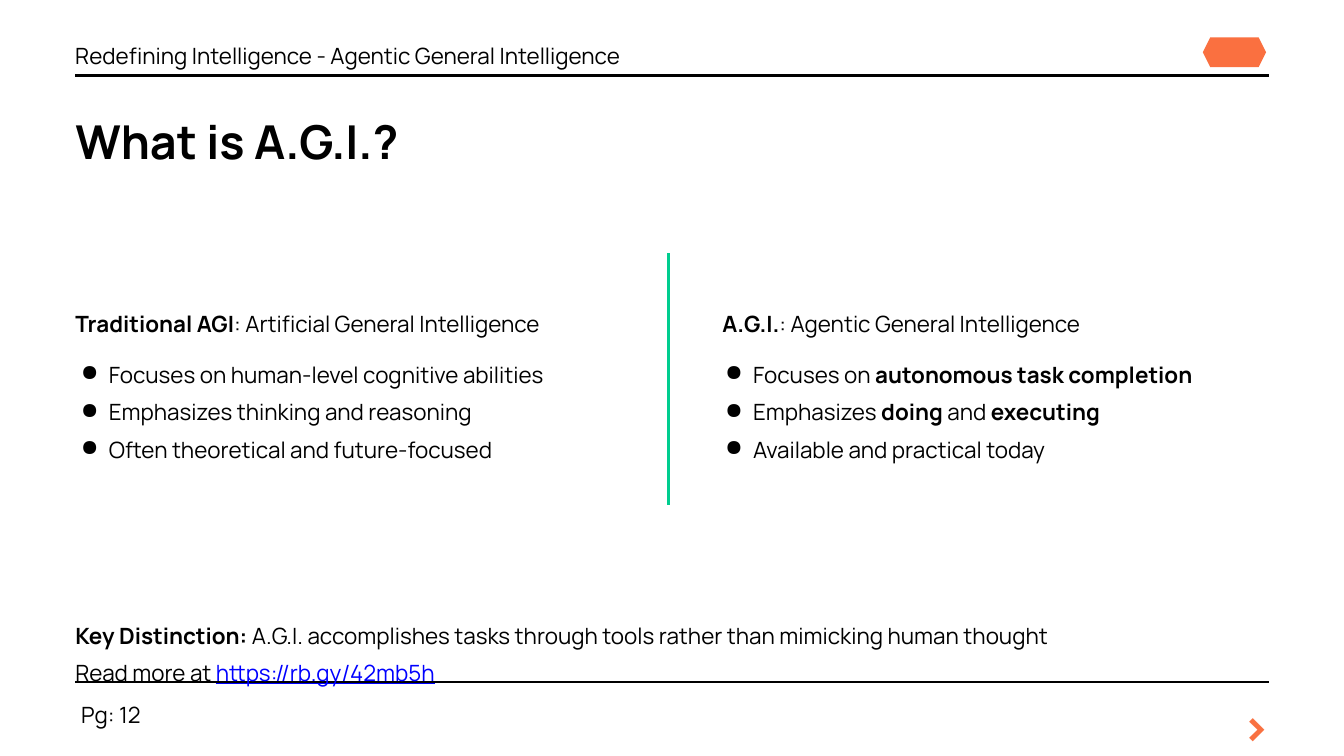
from dataclasses import dataclass

from lxml.etree import SubElement
from pptx import Presentation
from pptx.dml.color import RGBColor
from pptx.enum.shapes import MSO_CONNECTOR as Connector, MSO_SHAPE as Shape
from pptx.enum.text import MSO_AUTO_SIZE as AutoSize, PP_ALIGN as Align
from pptx.oxml.ns import qn
from pptx.slide import Slide
from pptx.util import Pt

BLACK, ORANGE, GREEN, BLUE = "000000", "FA7040", "00CD8F", "0000FF"
LEFT, RIGHT = 80.64, 1359.36
BOLD = {"bold": True}
LINK = {"underline": True}


def color(value):
    return RGBColor.from_string(value)


def apply(target, values):
    for name, value in values.items():
        setattr(target, name, value)


@dataclass
class SlideBuilder:
    """Draw styled elements on the current slide, with lengths in points."""

    slide: Slide
    font: str = "Manrope"
    size: float = 24
    spacing: float = 1.4
    rule_width: float = 3

    def line(self, x1, y1, x2, y2, ink=BLACK):
        connector = self.slide.shapes.add_connector(
            Connector.STRAIGHT, Pt(x1), Pt(y1), Pt(x2), Pt(y2))
        connector.line.color.rgb = color(ink)
        connector.line.width = Pt(self.rule_width)
        SubElement(connector._element.spPr, qn("a:effectLst"))

    def block(self, kind, left, top, width, height, fill):
        shape = self.slide.shapes.add_shape(
            kind, Pt(left), Pt(top), Pt(width), Pt(height))
        shape.shadow.inherit = False
        shape.fill.solid()
        shape.fill.fore_color.rgb = color(fill)
        shape.line.fill.background()

    def bullet(self, paragraph):
        properties = paragraph._p.get_or_add_pPr()
        properties.set("marL", str(Pt(36)))
        properties.set("indent", str(Pt(-30)))
        ink = SubElement(properties, qn("a:buClr"))
        SubElement(ink, qn("a:srgbClr"), val=BLACK)
        SubElement(properties, qn("a:buChar"), char="●")

    def text(self, left, top, width, height, paragraphs, size=None,
             ink=BLACK, align=Align.LEFT, bullets=False):
        box = self.slide.shapes.add_textbox(
            Pt(left), Pt(top), Pt(width), Pt(height))
        frame = box.text_frame
        apply(frame, {"margin_left": 0, "margin_top": 0, "margin_right": 0,
                      "margin_bottom": 0, "word_wrap": True,
                      "auto_size": AutoSize.SHAPE_TO_FIT_TEXT})
        for index, runs in enumerate(paragraphs):
            paragraph = frame.add_paragraph() if index else frame.paragraphs[0]
            if bullets:
                self.bullet(paragraph)
            apply(paragraph, {"line_spacing": self.spacing, "alignment": align})
            for words, style in runs:
                run = paragraph.add_run()
                run.text = words
                apply(run.font, {"name": self.font, "size": Pt(size or self.size),
                                 "bold": False, **style})
                run.font.color.rgb = color(BLUE if style is LINK else ink)


def main():
    presentation = Presentation()
    apply(presentation, {"slide_width": Pt(1440), "slide_height": Pt(810)})
    builder = SlideBuilder(
        presentation.slides.add_slide(presentation.slide_layouts[6]))

    for y in (80.64, 730.8):
        builder.line(LEFT, y, RIGHT, y)
    builder.block(Shape.HEXAGON, 1288.8, 40, 67.7, 32, ORANGE)
    builder.text(1329, 722, 29.5, 63.4, [[(">", BOLD)]], size=52,
                 ink="F97141", align=Align.CENTER)
    builder.text(87, 740, 127.5, 29, [[("Pg: 12", {})]])
    builder.text(LEFT, 97.2, 447, 60.5, [[("What is A.G.I.?", BOLD)]], size=50)

    columns = [
        (LEFT, LEFT, "Traditional AGI", ": Artificial General Intelligence", [
            [("Focuses on human-level cognitive abilities", {})],
            [("Emphasizes thinking and reasoning", {})],
            [("Often theoretical and future-focused", {})]]),
        (774, 771, "A.G.I.", ": Agentic General Intelligence", [
            [("Focuses on ", {}), ("autonomous task completion", BOLD)],
            [("Emphasizes ", {}), ("doing", BOLD), (" and ", {}),
             ("executing", BOLD)],
            [("Available and practical today", {})]]),
    ]
    for heading_left, list_left, term, meaning, points in columns:
        builder.text(heading_left, 321, 555, 29, [[(term, BOLD), (meaning, {})]])
        builder.text(list_left, 375, 587.5, 110, points, bullets=True)
    builder.line(716.4, 271.4, 716.4, 540.7, GREEN)

    builder.text(LEFT, 654.5, 1167, 70, [
        [("Key Distinction: ", BOLD),
         ("A.G.I. accomplishes tasks through tools rather than "
          "mimicking human thought", {})],
        [("Read more at ", {}), ("https://rb.gy/42mb5h", LINK)]])
    builder.text(LEFT, 33.8, 885.6, 29, [
        [("Redefining Intelligence - Agentic General Intelligence", {})]])

    presentation.save("out.pptx")


if __name__ == "__main__":
    main()
